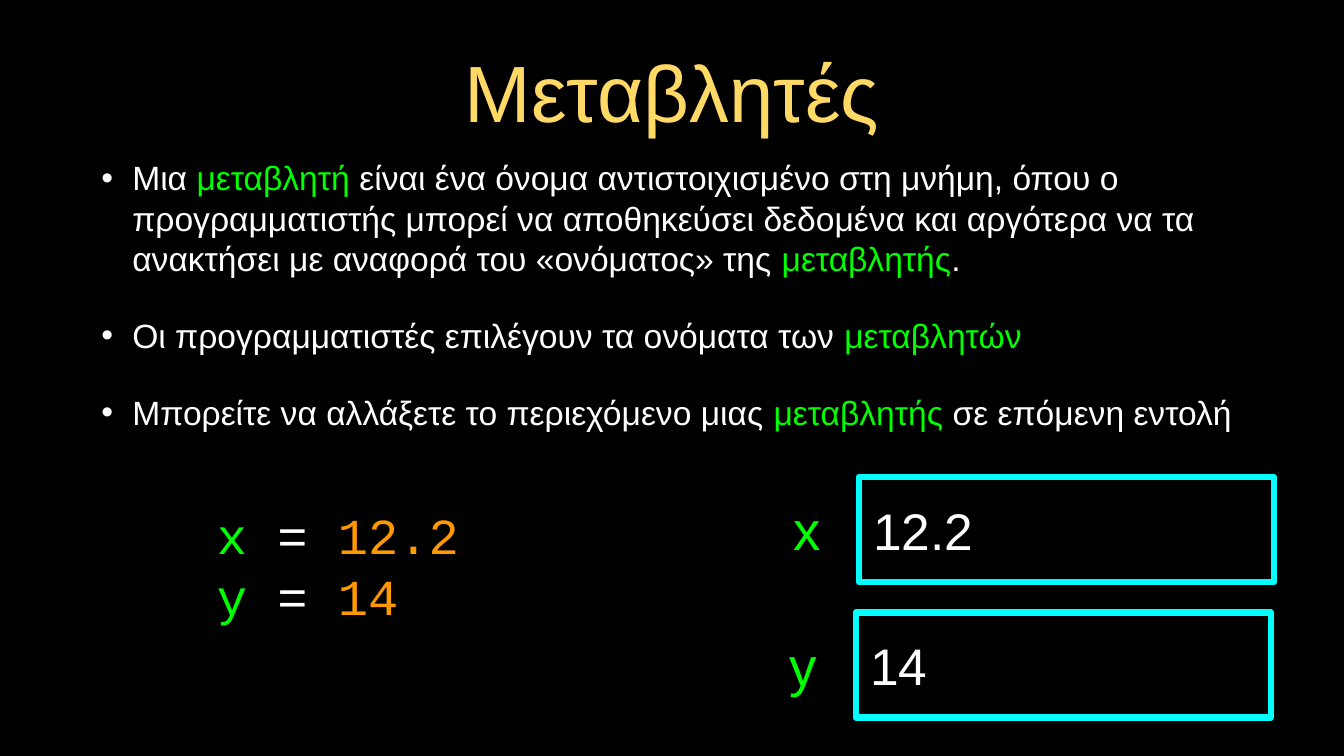
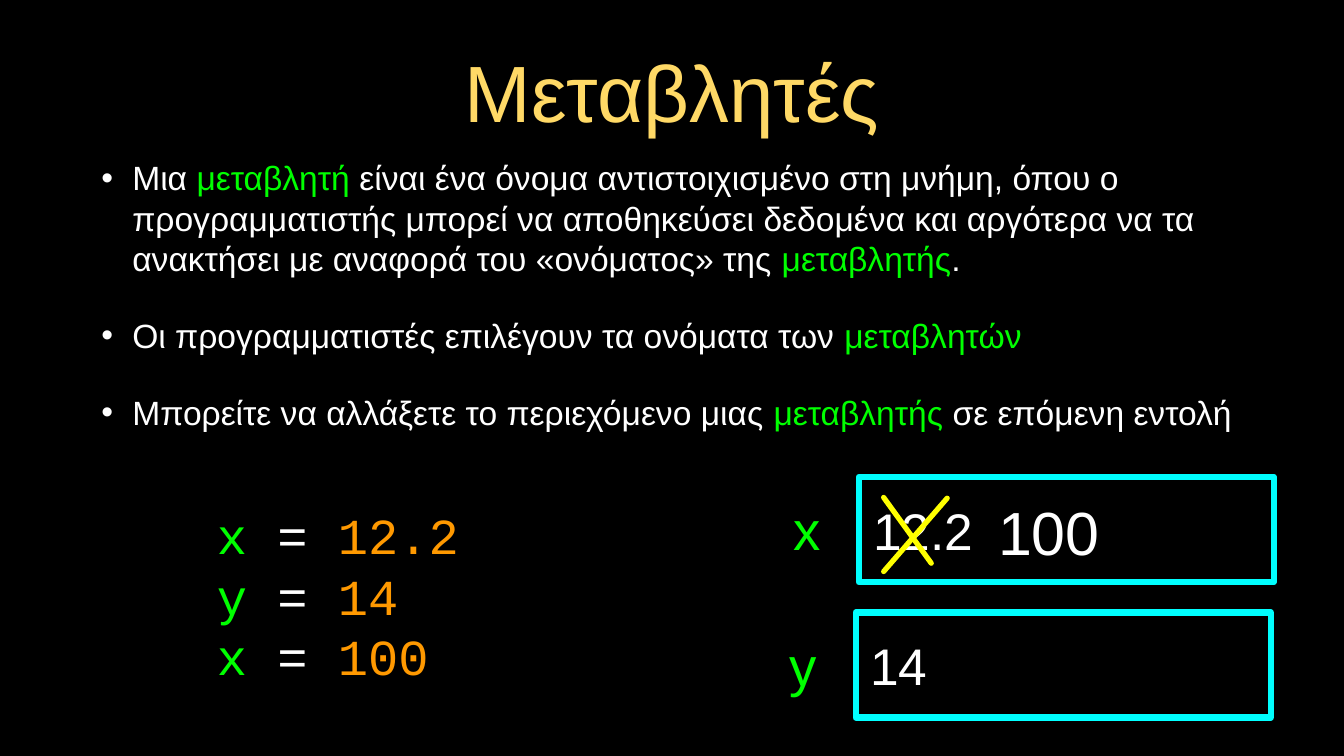
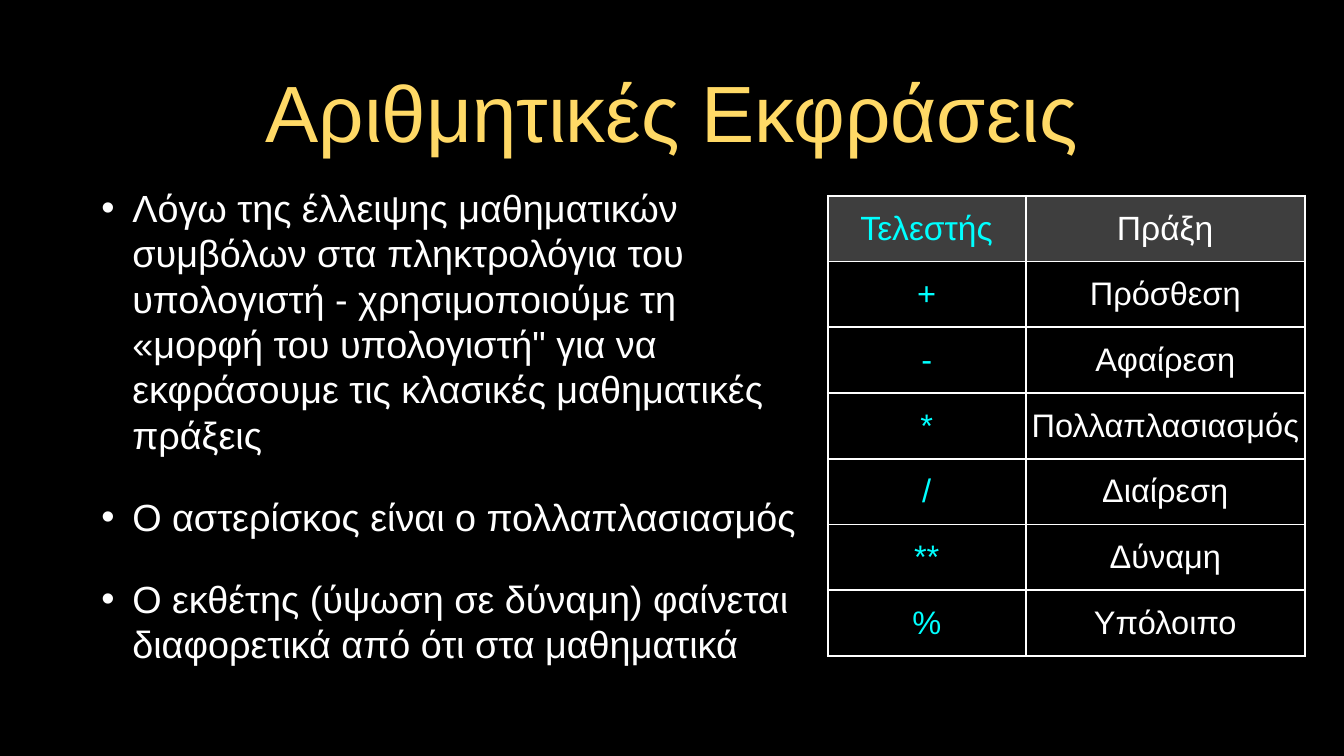
from typing import NamedTuple, Sequence

from lxml.etree import SubElement
from pptx import Presentation
from pptx.dml.color import RGBColor
from pptx.enum.shapes import MSO_CONNECTOR, MSO_SHAPE
from pptx.enum.text import MSO_ANCHOR as Anchor, PP_ALIGN as Align
from pptx.oxml.ns import qn
from pptx.util import Inches, Pt

BLACK = RGBColor(0x00, 0x00, 0x00)
WHITE = RGBColor(0xFF, 0xFF, 0xFF)
GOLD = RGBColor(0xFF, 0xD9, 0x66)
GREEN = RGBColor(0x00, 0xFF, 0x00)
CYAN = RGBColor(0x00, 0xFF, 0xFF)
ORANGE = RGBColor(0xFF, 0x99, 0x00)
YELLOW = RGBColor(0xFF, 0xFF, 0x00)
GRAY = RGBColor(0x7F, 0x7F, 0x7F)

SANS, MONO = "Arial", "Courier New"
LEADING = 1.2
PAD = 0.04
MARGIN, CONTENT_WIDTH = 0.89, 16


class Run(NamedTuple):
    text: str
    color: RGBColor = WHITE


class Box(NamedTuple):
    left: float
    top: float
    width: float
    height: float

    def emu(self):
        return [Inches(v) for v in self]


class Variable(NamedTuple):
    name: str
    value: str
    label: Box
    cell: Box


FOOTER_BAND = Box(0, 9.14, 17.78, 0.86)
VARIABLES = [
    Variable("x", "12.2", Box(10.43, 6.52, 0.49, 0.94), Box(11.36, 6.31, 5.49, 1.39)),
    Variable("y", "14", Box(10.41, 8.32, 0.44, 0.94), Box(11.32, 8.1, 5.49, 1.39)),
]
CROSS = [((12.53, 6.59), (11.69, 7.56)), ((11.69, 6.58), (12.32, 7.45))]

VARIABLE_POINTS = [
    [
        Run("Μια "),
        Run("μεταβλητή ", GREEN),
        Run("είναι ένα όνομα αντιστοιχισμένο στη μνήμη, όπου ο προγραμματιστής "
            "μπορεί να αποθηκεύσει δεδομένα και αργότερα να τα ανακτήσει με "
            "αναφορά του «ονόματος» της "),
        Run("μεταβλητής", GREEN),
        Run("."),
    ],
    [Run("Οι προγραμματιστές επιλέγουν τα ονόματα των "), Run("μεταβλητών", GREEN)],
    [
        Run("Μπορείτε να αλλάξετε το περιεχόμενο μιας "),
        Run("μεταβλητής ", GREEN),
        Run("σε επόμενη εντολή"),
    ],
]
EXPRESSION_POINTS = [
    [Run("Λόγω της έλλειψης μαθηματικών συμβόλων στα πληκτρολόγια του "
         "υπολογιστή - χρησιμοποιούμε τη «μορφή του υπολογιστή\" για να "
         "εκφράσουμε τις κλασικές μαθηματικές πράξεις")],
    [Run("Ο αστερίσκος είναι ο πολλαπλασιασμός")],
    [Run("Ο εκθέτης (ύψωση σε δύναμη) φαίνεται διαφορετικά από ότι στα μαθηματικά")],
]
OPERATORS = [
    ("Τελεστής", "Πράξη"),
    ("+", "Πρόσθεση"),
    ("-", "Αφαίρεση"),
    ("*", "Πολλαπλασιασμός"),
    ("/", "Διαίρεση"),
    ("**", "Δύναμη"),
    ("%", "Υπόλοιπο"),
]


def write_runs(p, runs: Sequence[Run], size: float, align=Align.LEFT, font: str = SANS) -> None:
    p.alignment = align
    for run in runs:
        r = p.add_run()
        r.text = run.text
        r.font.name = font
        r.font.size = Pt(size)
        r.font.color.rgb = run.color


def write_paragraph(p, runs: Sequence[Run], size: float, align=Align.LEFT, font: str = SANS) -> None:
    p.line_spacing = Pt(size * LEADING)
    write_runs(p, runs, size, align, font)


def frame_paragraphs(tf, count: int) -> list:
    return [tf.paragraphs[0]] + [tf.add_paragraph() for _ in range(count - 1)]


def set_frame(tf, pad: float = 0, anchor=Anchor.MIDDLE) -> None:
    tf.word_wrap = True
    tf.vertical_anchor = anchor
    tf.margin_left = tf.margin_right = tf.margin_top = tf.margin_bottom = Inches(pad)


def add_text(s, box: Box, paragraphs: Sequence[Sequence[Run]], size: float,
             align=Align.CENTER, font: str = SANS, pad: float = 0, anchor=Anchor.MIDDLE):
    tf = s.shapes.add_textbox(*box.emu()).text_frame
    set_frame(tf, pad, anchor)
    for p, runs in zip(frame_paragraphs(tf, len(paragraphs)), paragraphs):
        write_paragraph(p, runs, size, align, font)
    return tf


def add_rectangle(s, box: Box):
    sp = s.shapes.add_shape(MSO_SHAPE.RECTANGLE, *box.emu())
    sp.shadow.inherit = False
    return sp


def add_slide(prs, title: str, title_top: float):
    s = prs.slides.add_slide(prs.slide_layouts[6])
    s.background.fill.solid()
    s.background.fill.fore_color.rgb = BLACK
    band = add_rectangle(s, FOOTER_BAND)
    band.fill.solid()
    band.fill.fore_color.rgb = BLACK
    band.line.fill.background()
    box = Box(MARGIN, title_top, CONTENT_WIDTH, 1.21)
    add_text(s, box, [[Run(title, GOLD)]], 76, pad=PAD)
    return s


def add_bullets(s, box: Box, points: Sequence[Sequence[Run]], size: float) -> None:
    tf = add_text(s, box, points, size, Align.LEFT, pad=PAD)
    for i, p in enumerate(tf.paragraphs):
        pPr = p._p.get_or_add_pPr()
        pPr.set("marL", str(Inches(0.82)))
        pPr.set("indent", str(Inches(-0.41)))
        SubElement(SubElement(pPr, qn("a:buClr")), qn("a:srgbClr"), val=str(WHITE))
        SubElement(pPr, qn("a:buFont"), typeface=SANS)
        SubElement(pPr, qn("a:buChar"), char="•")
        if i:
            p.space_before = Pt(35)


def add_variable(s, variable: Variable) -> None:
    """Draw a memory cell with its value, and the variable's name beside it."""
    sp = add_rectangle(s, variable.cell)
    sp.fill.background()
    sp.line.color.rgb = CYAN
    sp.line.width = Pt(6)
    tf = sp.text_frame
    set_frame(tf)
    tf.margin_left = Inches(0.19)
    write_paragraph(tf.paragraphs[0], [Run(variable.value)], 49)
    add_text(s, variable.label, [[Run(variable.name, GREEN)]], 52)


def add_code(s, assignments: Sequence[tuple[str, str]]) -> None:
    lines = [[Run(f"{name} ", GREEN), Run("= "), Run(value, ORANGE)]
             for name, value in assignments]
    tf = add_text(s, Box(2.87, 6.56, 4.42, 2.61), lines, 48, Align.LEFT, MONO, anchor=Anchor.TOP)
    tf.margin_top = Inches(0.11)


def add_cross(s) -> None:
    group = s.shapes.add_group_shape()
    for start, end in CROSS:
        connector = group.shapes.add_connector(
            MSO_CONNECTOR.STRAIGHT, *(Inches(v) for v in start + end))
        connector.line.color.rgb = YELLOW
        connector.line.width = Pt(5)
        spPr = connector._element.spPr
        spPr.find(qn("a:ln")).set("cap", "rnd")
        SubElement(spPr, qn("a:effectLst"))


def add_variables_slide(prs, assignments: Sequence[tuple[str, str]]):
    s = add_slide(prs, "Μεταβλητές", 0.59)
    add_bullets(s, Box(MARGIN, 2, CONTENT_WIDTH, 3.8), VARIABLE_POINTS, 32)
    for variable in VARIABLES:
        add_variable(s, variable)
    add_code(s, assignments)
    return s


def border_cell(cell) -> None:
    tcPr = cell._tc.get_or_add_tcPr()
    for side in "LRTB":
        ln = SubElement(tcPr, qn(f"a:ln{side}"), w=str(Pt(2)))
        SubElement(SubElement(ln, qn("a:solidFill")), qn("a:srgbClr"), val=str(WHITE))


def fill_header(cell) -> None:
    cell.fill.solid()
    cell.fill.fore_color.rgb = GRAY
    color = cell._tc.tcPr.find(qn("a:solidFill")).find(qn("a:srgbClr"))
    SubElement(color, qn("a:alpha"), val="49000")


def add_operator_table(s) -> None:
    box = Box(10.95, 2.59, 6.31, 6.09)
    table = s.shapes.add_table(len(OPERATORS), 2, *box.emu()).table
    table.first_row = table.horz_banding = False
    for column, width in zip(table.columns, (2.62, 3.69)):
        column.width = Inches(width)
    for i, texts in enumerate(OPERATORS):
        table.rows[i].height = Inches(0.87)
        for j, (text, color) in enumerate(zip(texts, (CYAN, WHITE))):
            cell = table.cell(i, j)
            cell.vertical_anchor = Anchor.MIDDLE
            cell.margin_left = cell.margin_right = Inches(PAD)
            cell.margin_top = cell.margin_bottom = Inches(PAD)
            border_cell(cell)
            if i == 0:
                fill_header(cell)
            else:
                cell.fill.background()
            write_runs(cell.text_frame.paragraphs[0], [Run(text, color)],
                       31 if i else 32, Align.CENTER)


def main() -> None:
    prs = Presentation()
    prs.slide_width, prs.slide_height = Inches(17.78), Inches(10)

    assignments = [(v.name, v.value) for v in VARIABLES]
    add_variables_slide(prs, assignments)

    s = add_variables_slide(prs, assignments + [("x", "100")])
    add_cross(s)
    add_text(s, Box(12.96, 6.51, 1.83, 1.03), [[Run("100")]], 58)

    s = add_slide(prs, "Αριθμητικές Εκφράσεις", 0.86)
    add_bullets(s, Box(MARGIN, 2.33, 9.88, 6.6), EXPRESSION_POINTS, 36)
    add_operator_table(s)

    prs.save("out.pptx")


if __name__ == "__main__":
    main()
